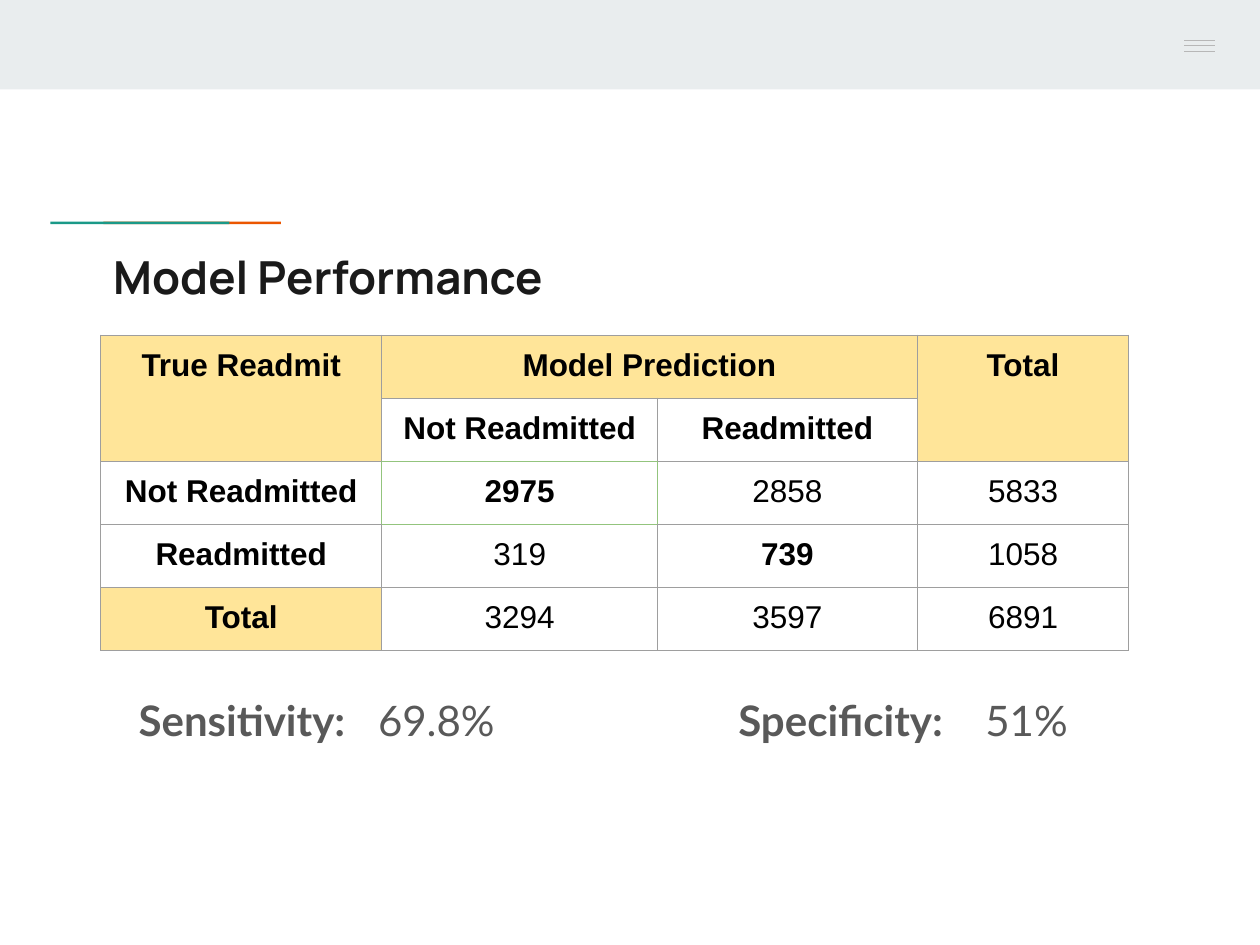
from lxml import etree
from pptx import Presentation
from pptx import util as u
from pptx.dml.color import RGBColor
from pptx.enum import shapes, text
from pptx.oxml.ns import qn

COLORS = {
    "band": "E9EDEE", "orange": "EB5600", "teal": "1A9988", "menu": "B7B7B7",
    "title": "1A1A1A", "body": "595959", "black": "000000", "header": "FFE599",
    "border": "9E9E9E", "highlight": "93C47D", "white": "FFFFFF",
}
CELLS = [
    ["True Readmit", "Model Prediction", "", "Total"],
    ["", "Not Readmitted", "Readmitted", ""],
    ["Not Readmitted", "2975", "2858", "5833"],
    ["Readmitted", "319", "739", "1058"],
    ["Total", "3294", "3597", "6891"],
]
MERGES = [((0, 0), (1, 0)), ((0, 1), (0, 2)), ((0, 3), (1, 3))]
HEADER_CELLS = {(0, 0), (0, 1), (0, 2), (0, 3), (1, 0), (1, 3), (4, 0)}
CORRECT_CELLS = {(2, 1), (3, 2)}
HIGHLIGHT_EDGES = {(2, 1): "LRTB", (1, 1): "B", (3, 1): "T", (2, 0): "R", (2, 2): "L"}


def color(name):
    return RGBColor.from_string(COLORS[name])


def add_rectangle(slide, left, top, width, height, fill):
    shape = slide.shapes.add_shape(
        shapes.MSO_SHAPE.RECTANGLE,
        u.Inches(left), u.Inches(top), u.Inches(width), u.Inches(height))
    shape.shadow.inherit = False
    shape.fill.solid()
    shape.fill.fore_color.rgb = color(fill)
    shape.line.fill.background()


def add_line(slide, left, right, y, line_color):
    connector = slide.shapes.add_connector(
        shapes.MSO_CONNECTOR.STRAIGHT,
        u.Inches(left), u.Inches(y), u.Inches(right), u.Inches(y))
    connector.line.color.rgb = color(line_color)
    connector.line.width = u.Pt(0.75)
    etree.SubElement(connector._element.spPr, qn("a:effectLst"))


def add_run(paragraph, content, font="Arial", size=18, bold=False, fill="black"):
    run = paragraph.add_run()
    run.text = content
    run.font.name = font
    run.font.size = u.Pt(size)
    run.font.bold = bold
    run.font.color.rgb = color(fill)


def add_text_box(slide, left, top, width, height, inset=0.1):
    box = slide.shapes.add_textbox(
        u.Inches(left), u.Inches(top), u.Inches(width), u.Inches(height))
    frame = box.text_frame
    frame.word_wrap = True
    frame.margin_left = u.Inches(inset)
    frame.margin_right = frame.margin_top = frame.margin_bottom = u.Inches(0.1)
    return frame.paragraphs[0]


def add_tab_stops(paragraph, positions):
    tabs = etree.SubElement(paragraph._p.get_or_add_pPr(), qn("a:tabLst"))
    for position in positions:
        etree.SubElement(tabs, qn("a:tab"), pos=str(u.Inches(position)), algn="l")


def set_borders(cell, highlighted):
    properties = cell._tc.get_or_add_tcPr()
    for index, edge in enumerate("LRTB"):
        line = etree.Element(qn(f"a:ln{edge}"), w=str(u.Pt(0.75)))
        fill = etree.SubElement(line, qn("a:solidFill"))
        name = "highlight" if edge in highlighted else "border"
        etree.SubElement(fill, qn("a:srgbClr"), val=COLORS[name])
        properties.insert(index, line)


def add_confusion_table(slide):
    widths, row_height = [2.23, 2.19, 2.06, 1.68], 0.48
    table = slide.shapes.add_table(
        len(CELLS), len(widths), u.Inches(0.8), u.Inches(2.66),
        u.Inches(sum(widths)), u.Inches(row_height * len(CELLS))).table
    for column, width in zip(table.columns, widths):
        column.width = u.Inches(width)
    for start, end in MERGES:
        table.cell(*start).merge(table.cell(*end))
    for r, row in enumerate(CELLS):
        table.rows[r].height = u.Inches(row_height)
        for c, content in enumerate(row):
            cell = table.cell(r, c)
            cell.margin_left = cell.margin_right = u.Inches(0.1)
            cell.margin_top = cell.margin_bottom = u.Inches(0.1)
            cell.fill.solid()
            cell.fill.fore_color.rgb = color("header" if (r, c) in HEADER_CELLS else "white")
            set_borders(cell, HIGHLIGHT_EDGES.get((r, c), ""))
            if content:
                paragraph = cell.text_frame.paragraphs[0]
                paragraph.alignment = text.PP_ALIGN.CENTER
                add_run(paragraph, content,
                        bold=r < 2 or c == 0 or (r, c) in CORRECT_CELLS)


def add_metrics(slide):
    paragraph = add_text_box(slide, 0.8, 5.35, 8.41, 1.36, inset=0.3)
    add_tab_stops(paragraph, [1.9, 4.76, 6.72])
    paragraph.line_spacing = 1.15
    for content, bold in [("Sensitivity:", True), ("\t69.8%\t", False),
                          ("Specificity:", True), ("\t51%", False)]:
        add_run(paragraph, content, font="Lato", size=24, bold=bold, fill="body")


def main():
    presentation = Presentation()
    presentation.slide_width = u.Inches(10)
    presentation.slide_height = u.Inches(7.5)
    slide = presentation.slides.add_slide(presentation.slide_layouts[6])

    add_rectangle(slide, 0, 0, 10, 0.71, "band")
    add_rectangle(slide, 0.82, 1.76, 1.41, 0.02, "orange")
    add_rectangle(slide, 0.4, 1.76, 1.42, 0.02, "teal")
    for y in (0.32, 0.36, 0.41):
        add_line(slide, 9.4, 9.64, y, "menu")

    title = add_text_box(slide, 0.8, 1.88, 8.41, 0.78)
    add_run(title, "Model Performance", font="Manrope", size=26, bold=True, fill="title")
    add_metrics(slide)
    add_confusion_table(slide)
    presentation.save("out.pptx")


if __name__ == "__main__":
    main()
